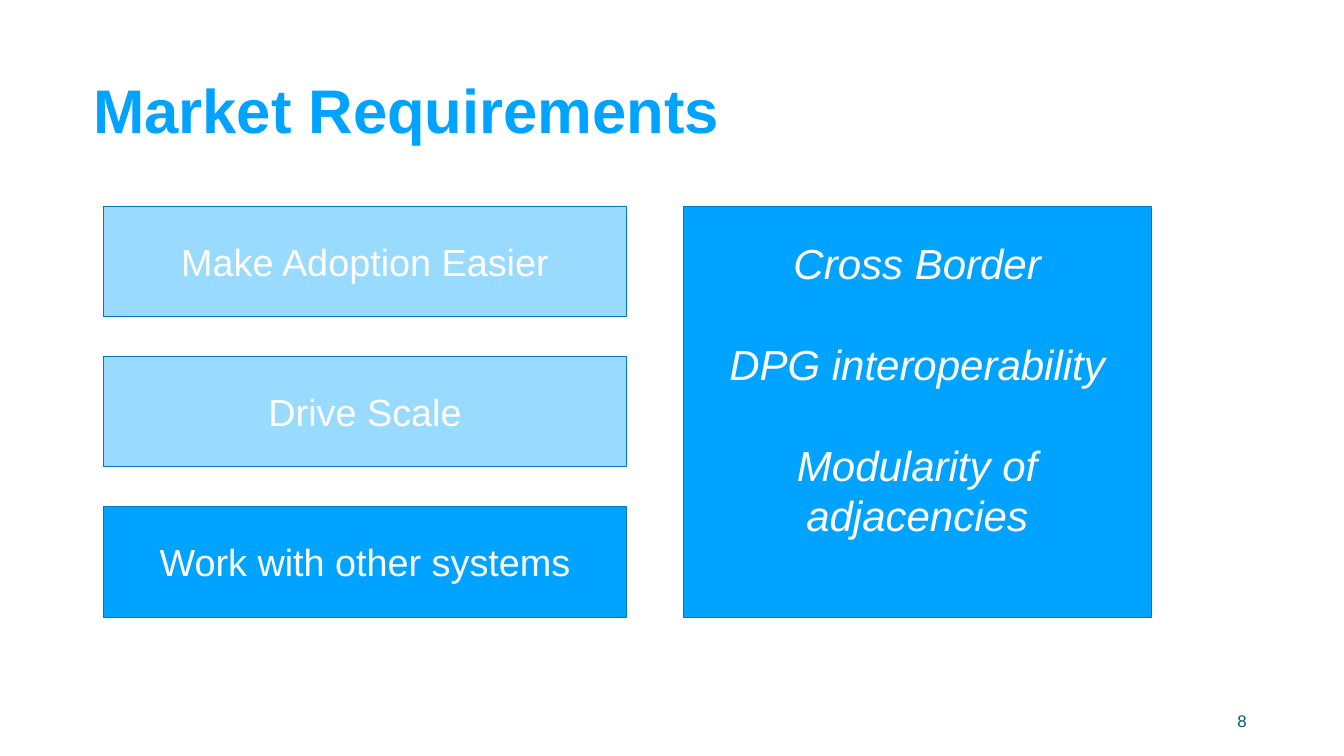
import pptx
import pptx.util
import pptx.dml.color
import pptx.enum.shapes
import pptx.enum.text
from pptx.util import Inches

COLORS = {"accent": "00A3FF", "muted": "99DAFF", "border": "0079BD",
          "number": "005A83", "white": "FFFFFF"}
ALIGN = pptx.enum.text.PP_ALIGN
ANCHOR = pptx.enum.text.MSO_ANCHOR


def rgb(name):
    return pptx.dml.color.RGBColor.from_string(COLORS[name])


class RequirementsSlide:
    font = "Arial"

    def __init__(self, slide):
        self.slide = slide

    def set_text(self, frame, text, size, color, align, bold=False, italic=False):
        frame.word_wrap = True
        frame.vertical_anchor = ANCHOR.MIDDLE
        frame.text = text
        for paragraph in frame.paragraphs:
            paragraph.alignment = align
            for run in paragraph.runs:
                run.font.name = self.font
                run.font.size = pptx.util.Pt(size)
                run.font.bold = bold
                run.font.italic = italic
                run.font.color.rgb = rgb(color)

    def title(self, text, left, top, width, height):
        heading = self.slide.shapes.title
        heading.left, heading.top = Inches(left), Inches(top)
        heading.width, heading.height = Inches(width), Inches(height)
        self.set_text(heading.text_frame, text, 88, "accent", ALIGN.LEFT, bold=True)
        heading.text_frame.margin_left = Inches(0.02)
        heading.text_frame.paragraphs[0].line_spacing = 0.9

    def page_number(self, text, left, top, width, height):
        number = self.slide.shapes.add_textbox(
            Inches(left), Inches(top), Inches(width), Inches(height))
        self.set_text(number.text_frame, text, 24, "number", ALIGN.RIGHT)

    def box(self, text, left, top, width, height, fill, size, italic=False):
        panel = self.slide.shapes.add_shape(
            pptx.enum.shapes.MSO_SHAPE.RECTANGLE,
            Inches(left), Inches(top), Inches(width), Inches(height))
        panel.shadow.inherit = False
        panel.fill.solid()
        panel.fill.fore_color.rgb = rgb(fill)
        panel.line.color.rgb = rgb("border")
        panel.line.width = pptx.util.Pt(1)
        self.set_text(panel.text_frame, text, size, "white", ALIGN.CENTER, italic=italic)
        return panel.text_frame

    def spaced_box(self, items, left, top, width, height, fill, size):
        frame = self.box("\n".join(items), left, top, width, height, fill, size, italic=True)
        frame.vertical_anchor = ANCHOR.TOP
        frame.margin_top = Inches(0.62)
        for index, paragraph in enumerate(frame.paragraphs):
            paragraph.line_spacing = pptx.util.Pt(72)
            paragraph.space_before = pptx.util.Pt(72 if index else 0)


def main():
    presentation = pptx.Presentation()
    presentation.slide_width = Inches(26.67)
    presentation.slide_height = Inches(15)
    page = RequirementsSlide(
        presentation.slides.add_slide(presentation.slide_layouts[5]))

    # Title and page number
    page.title("Market Requirements", 1.83, 0.8, 20.68, 2.9)
    page.page_number("8", 18.84, 13.9, 6, 0.8)

    # Requirements, with the current one highlighted
    top, pitch, height = 4.09, 2.98, 2.19
    requirements = [("Make Adoption Easier", "muted"), ("Drive Scale", "muted"),
                    ("Work with other systems", "accent")]
    for row, (requirement, fill) in enumerate(requirements):
        page.box(requirement, 2.06, top + row * pitch, 10.37, height, fill, 54)

    # Details of the highlighted requirement
    details = ["Cross Border", "DPG interoperability", "Modularity of adjacencies"]
    page.spaced_box(details, 13.56, top, 9.28, 2 * pitch + height, "accent", 60)

    presentation.save("out.pptx")


if __name__ == "__main__":
    main()
